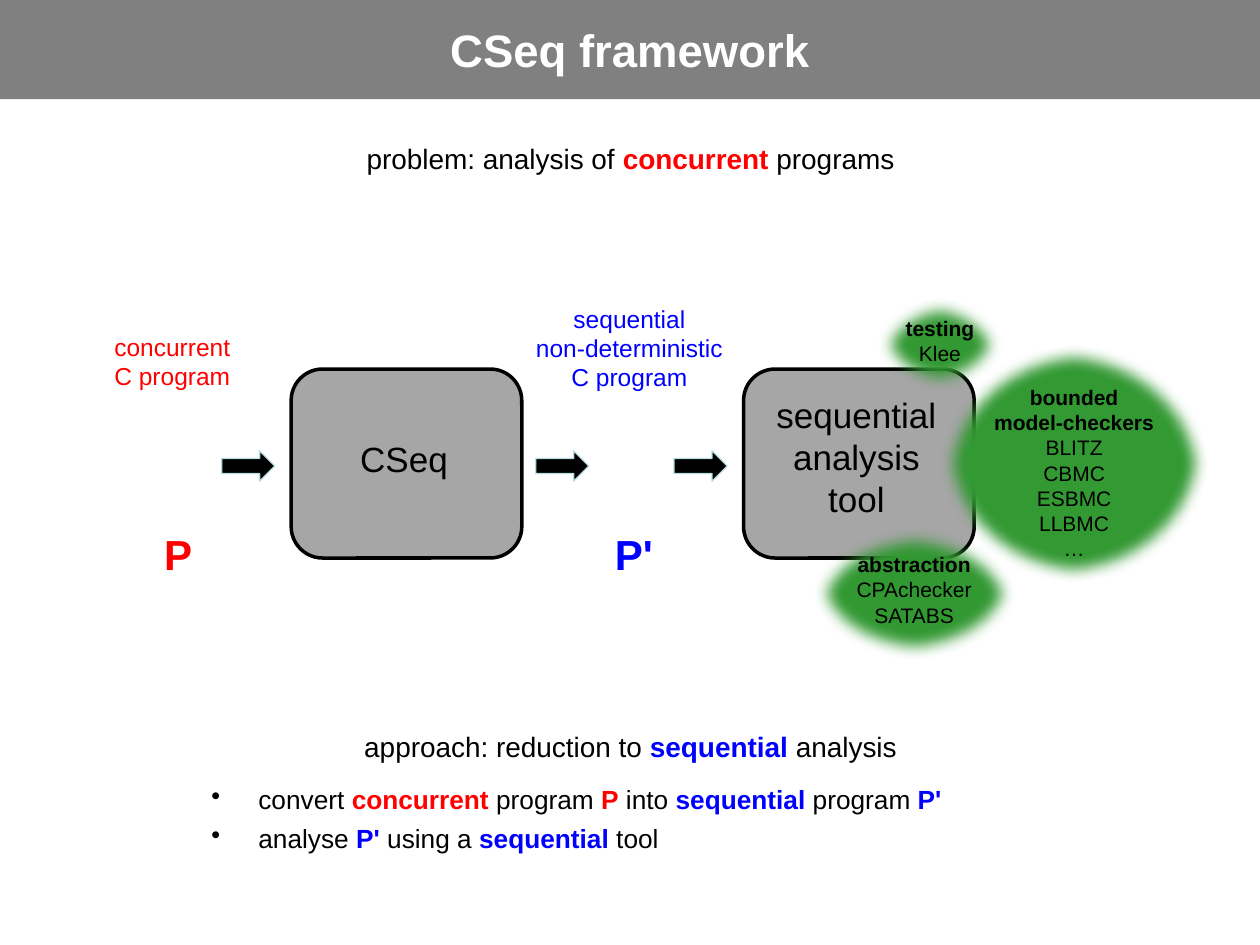
import pptx
import pptx.dml.color
import pptx.enum.shapes
import pptx.enum.text
import pptx.oxml
import pptx.oxml.ns
import pptx.util
from dataclasses import dataclass

Cm = pptx.util.Cm
Pt = pptx.util.Pt
Rgb = pptx.dml.color.RGBColor.from_string
Shape = pptx.enum.shapes.MSO_SHAPE
Align = pptx.enum.text.PP_ALIGN
Anchor = pptx.enum.text.MSO_ANCHOR


@dataclass(frozen=True)
class Theme:
    font: str = "Arial"
    black: str = "000000"
    white: str = "FFFFFF"
    concurrent: str = "FF0000"
    sequential: str = "0000FF"
    banner: str = "808080"
    stage: str = "A6A6A6"
    family: str = "339933"
    arrow_edge: str = "B6DCDF"
    title: int = 26
    program: int = 24
    stage_text: int = 20
    statement: int = 16
    bullet: int = 15
    caption: int = 14
    tool: int = 12


theme = Theme()
deck = pptx.Presentation()
deck.slide_width, deck.slide_height = Cm(25.4), Cm(19.05)
page = deck.slides.add_slide(deck.slide_layouts[6])


def write(box, lines, size, color=theme.black, bold=False, align=Align.CENTER,
          anchor=Anchor.MIDDLE, wrap=True, margin=0.25, bullet=False):
    """Each line is a string or a list of spans; a (text, color) span is bold."""
    frame = box.text_frame
    frame.word_wrap = wrap
    frame.vertical_anchor = anchor
    frame.margin_left = frame.margin_right = Cm(margin)
    frame.margin_top = frame.margin_bottom = Cm(0.13)
    for number, line in enumerate(lines):
        para = frame.add_paragraph() if number else frame.paragraphs[0]
        para.alignment = align
        if bullet:
            para.space_before = Pt(4 if number else 0)
            properties = para._p.get_or_add_pPr()
            properties.set("marL", str(Cm(0.95)))
            properties.set("indent", str(-Cm(0.95)))
            mark = pptx.oxml.parse_xml(
                f'<a:buChar {pptx.oxml.ns.nsdecls("a")} char="•"/>')
            properties.append(mark)
        for part in [line] if isinstance(line, str) else line:
            strong = isinstance(part, tuple)
            text, ink = part if strong else (part, color)
            span = para.add_run()
            span.text = text
            span.font.name = theme.font
            span.font.size = Pt(size)
            span.font.bold = bold or strong
            span.font.color.rgb = Rgb(ink)


def draw(kind, left, top, width, height, fill, edge=None, weight=1):
    shape = page.shapes.add_shape(kind, Cm(left), Cm(top), Cm(width), Cm(height))
    shape.shadow.inherit = False
    shape.fill.solid()
    shape.fill.fore_color.rgb = Rgb(fill)
    if edge:
        shape.line.color.rgb = Rgb(edge)
        shape.line.width = Pt(weight)
    else:
        shape.line.fill.background()
    return shape


# Title banner
banner = draw(Shape.RECTANGLE, 0, 0, 25.4, 2, theme.banner)
write(banner, ["CSeq framework"], theme.title, theme.white, bold=True)

# Programs: caption above, symbol below
programs = [
    (["concurrent", "C program"], 1.47, 6.32, 4.01, 1.93,
     "P", 2.29, 2.6, theme.concurrent),
    (["sequential", "non-deterministic", "C program"], 10.39, 5.84, 4.6, 2.34,
     "P'", 11.18, 3.2, theme.sequential),
]
for caption, left, top, width, height, symbol, symbol_left, symbol_width, color in programs:
    box = page.shapes.add_textbox(Cm(left), Cm(top), Cm(width), Cm(height))
    write(box, caption, theme.caption, color)
    box = page.shapes.add_textbox(Cm(symbol_left), Cm(10.46), Cm(symbol_width), Cm(1.4))
    write(box, [symbol], theme.program, color, bold=True)

for left in (4.47, 10.8, 13.59):
    draw(Shape.RIGHT_ARROW, left, 9.09, 1.07, 0.61, theme.black, theme.arrow_edge, 0.75)

# Processing stages, each with its label
stages = [
    (["CSeq"], 5.87, 8.69, 1.12),
    (["sequential", "analysis", "tool"], 14.99, 7.8, 2.82),
]
for label, left, label_top, label_height in stages:
    draw(Shape.ROUNDED_RECTANGLE, left, 7.44, 4.65, 3.81, theme.stage, theme.black, 2)
    box = page.shapes.add_textbox(Cm(left), Cm(label_top), Cm(4.55), Cm(label_height))
    write(box, label, theme.stage_text, anchor=Anchor.TOP)

# Tool families with soft edges
families = [
    (["testing"], ["Klee"], 17.58, 5.94, 2.74, 2.01),
    (["bounded", "model-checkers"], ["BLITZ", "CBMC", "ESBMC", "LLBMC", "…"],
     18.9, 6.91, 5.51, 4.88),
    (["abstraction"], ["CPAchecker", "SATABS"], 16.31, 10.59, 4.24, 2.74),
]
for heading, tools, *place in families:
    blob = draw(Shape.FLOWCHART_CONNECTOR, *place, theme.family)
    effects = blob._element.spPr.find(pptx.oxml.ns.qn("a:effectLst"))
    effects.append(pptx.oxml.parse_xml(
        f'<a:softEdge {pptx.oxml.ns.nsdecls("a")} rad="{Cm(0.31)}"/>'))
    write(blob, [[(line, theme.black)] for line in heading] + tools,
          theme.tool, anchor=Anchor.TOP, margin=0.1)

# Problem and approach statements
statements = [
    (2.72, ["problem: analysis of ", ("concurrent", theme.concurrent), " programs"]),
    (14.58, ["approach: reduction to ", ("sequential", theme.sequential), " analysis"]),
]
for top, line in statements:
    box = page.shapes.add_textbox(Cm(0.43), Cm(top), Cm(24.56), Cm(0.95))
    write(box, [line], theme.statement, anchor=Anchor.TOP)

steps = page.shapes.add_textbox(Cm(4.01), Cm(15.67), Cm(18.85), Cm(3))
write(steps, [
    ["convert ", ("concurrent", theme.concurrent), " program ", ("P", theme.concurrent),
     " into ", ("sequential", theme.sequential), " program ", ("P'", theme.sequential)],
    ["analyse ", ("P'", theme.sequential), " using a ",
     ("sequential", theme.sequential), " tool"],
], theme.bullet, align=Align.LEFT, anchor=Anchor.TOP, bullet=True)

deck.save("out.pptx")
